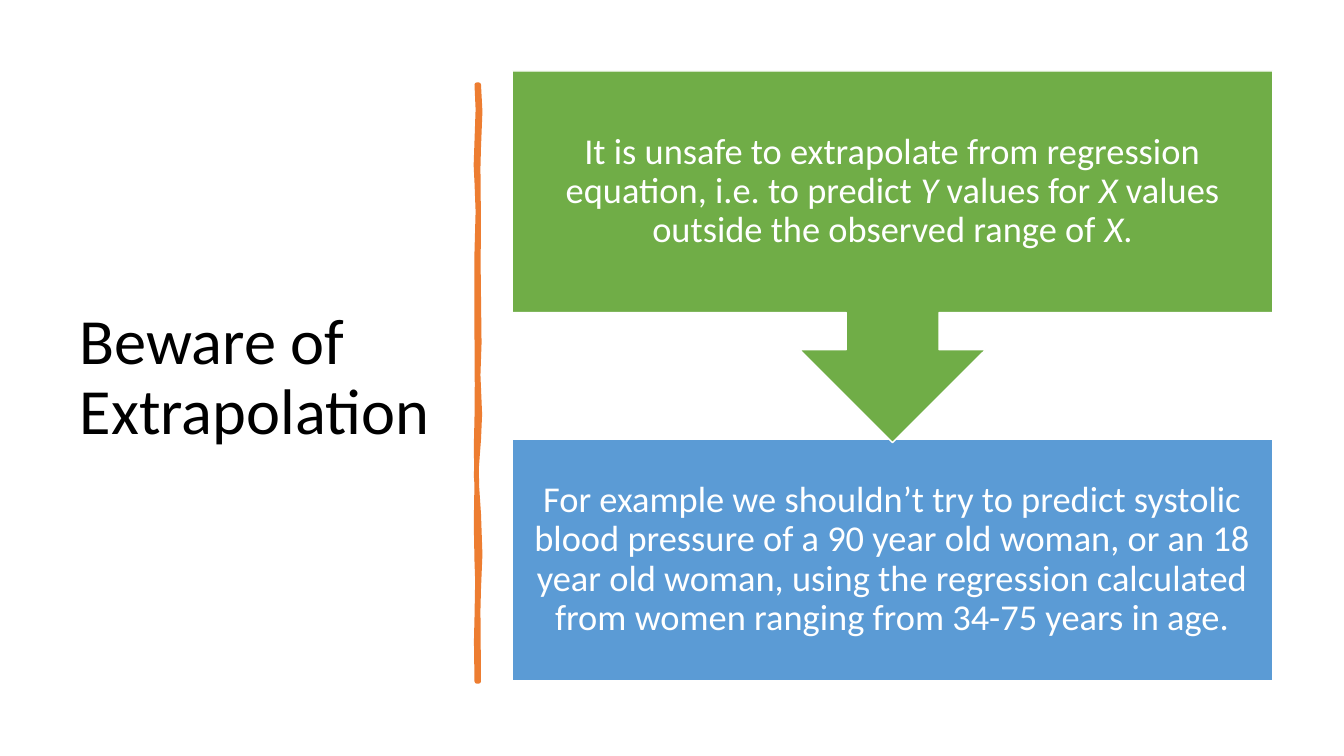
"""Build the "Beware of Extrapolation" slide."""
from pptx import Presentation, util as u
from pptx.dml.color import RGBColor
from pptx.enum import shapes, text

TITLE = [("Beware of Extrapolation", False)]
WARNING = [
    ("It is unsafe to extrapolate from regression equation, i.e. to predict ", False),
    ("Y ", True), ("values for ", False), ("X", True),
    (" values outside the observed range of ", False), ("X", True), (".", False),
]
EXAMPLE = [(
    "For example we shouldn’t try to predict systolic blood pressure of a 90 year old woman, "
    "or an 18 year old woman, using the regression calculated from women ranging from "
    "34-75 years in age.", False)]

THEME = {
    "font": "Calibri", "title_size": 46, "body_size": 26,
    "title": "000000", "body": "FFFFFF", "border": "FFFFFF",
    "warning": "70AD47", "example": "5B9BD5", "brush": "ED7D31",
}

# Each edge of the brush line is a list of (x shift, y).
BRUSH_EDGES = {
    342: [
        (0, 60.5), (1, 79.6), (0, 105.1), (-0.4, 120), (0, 162.7), (-0.3, 187),
        (0, 211.7), (0.4, 245), (0, 256.3), (-0.4, 268), (0.8, 296), (0, 313.9),
        (-1.9, 339), (0, 367.2), (1, 396), (0, 420.5), (-0.4, 436), (0, 486.7)],
    340.6: [
        (0, 486.7), (-0.4, 458), (0, 441.4), (0.5, 415), (0, 401), (-0.5, 374),
        (0, 343.4), (-0.5, 320), (0, 298.8), (0.2, 275), (0, 241.2), (0, 180),
        (0.8, 151), (0, 130.3), (-0.6, 118), (0.8, 78), (0, 60.5)],
}

TITLE_BOX = (50, 50.4, 269.3, 439.9)
PANEL_LEFT, PANEL_WIDTH, PANEL_HEIGHT = 365.8, 543.4, 172.6
WARNING_TOP, EXAMPLE_TOP, CALLOUT_HEIGHT = 50.7, 313.5, 265.5
WARNING_BOX = (PANEL_LEFT, WARNING_TOP, PANEL_WIDTH, PANEL_HEIGHT)
EXAMPLE_BOX = (PANEL_LEFT, EXAMPLE_TOP, PANEL_WIDTH, PANEL_HEIGHT)
CALLOUT_BOX = (PANEL_LEFT, WARNING_TOP, PANEL_WIDTH, CALLOUT_HEIGHT)
PANEL_INSETS, TITLE_INSETS = (14.2, 14.2), (7.2, 3.6)


def color(name):
    return RGBColor.from_string(THEME[name])


def points(box):
    return [u.Pt(length) for length in box]


def write(shape, runs, role, align, insets):
    frame = shape.text_frame
    frame.word_wrap = True
    frame.vertical_anchor = text.MSO_ANCHOR.MIDDLE
    frame.margin_left = frame.margin_right = u.Pt(insets[0])
    frame.margin_top = frame.margin_bottom = u.Pt(insets[1])
    paragraph = frame.paragraphs[0]
    paragraph.alignment = align
    paragraph.line_spacing = 0.9
    for words, italic in runs:
        run = paragraph.add_run()
        run.text = words
        run.font.name = THEME["font"]
        run.font.size = u.Pt(THEME[role + "_size"])
        run.font.italic = italic
        run.font.color.rgb = color(role)


def paint(shape, fill, line, width):
    shape.shadow.inherit = False
    shape.fill.solid()
    shape.fill.fore_color.rgb = color(fill)
    shape.line.color.rgb = color(line)
    shape.line.width = u.Pt(width)


def add_panel(slide, preset, box, fill):
    shape = slide.shapes.add_shape(preset, *points(box))
    paint(shape, fill, "border", 1)
    return shape


def add_brush(slide):
    start, *rest = [points((x + shift, y))
                    for x, edge in BRUSH_EDGES.items() for shift, y in edge]
    builder = slide.shapes.build_freeform(*start, scale=1.0)
    builder.add_line_segments(rest, close=True)
    paint(builder.convert_to_shape(), "brush", "brush", 3.25)


def main():
    presentation = Presentation()
    presentation.slide_width, presentation.slide_height = u.Pt(960), u.Pt(540)
    slide = presentation.slides.add_slide(presentation.slide_layouts[6])
    title = slide.shapes.add_textbox(*points(TITLE_BOX))
    write(title, TITLE, "title", text.PP_ALIGN.LEFT, TITLE_INSETS)
    add_brush(slide)

    example = add_panel(slide, shapes.MSO_SHAPE.RECTANGLE, EXAMPLE_BOX, "example")
    write(example, EXAMPLE, "body", text.PP_ALIGN.CENTER, PANEL_INSETS)
    callout = add_panel(slide, shapes.MSO_SHAPE.UP_ARROW_CALLOUT, CALLOUT_BOX, "warning")
    callout.rotation = 180
    warning = slide.shapes.add_textbox(*points(WARNING_BOX))
    write(warning, WARNING, "body", text.PP_ALIGN.CENTER, PANEL_INSETS)
    presentation.save("out.pptx")


if __name__ == "__main__":
    main()
